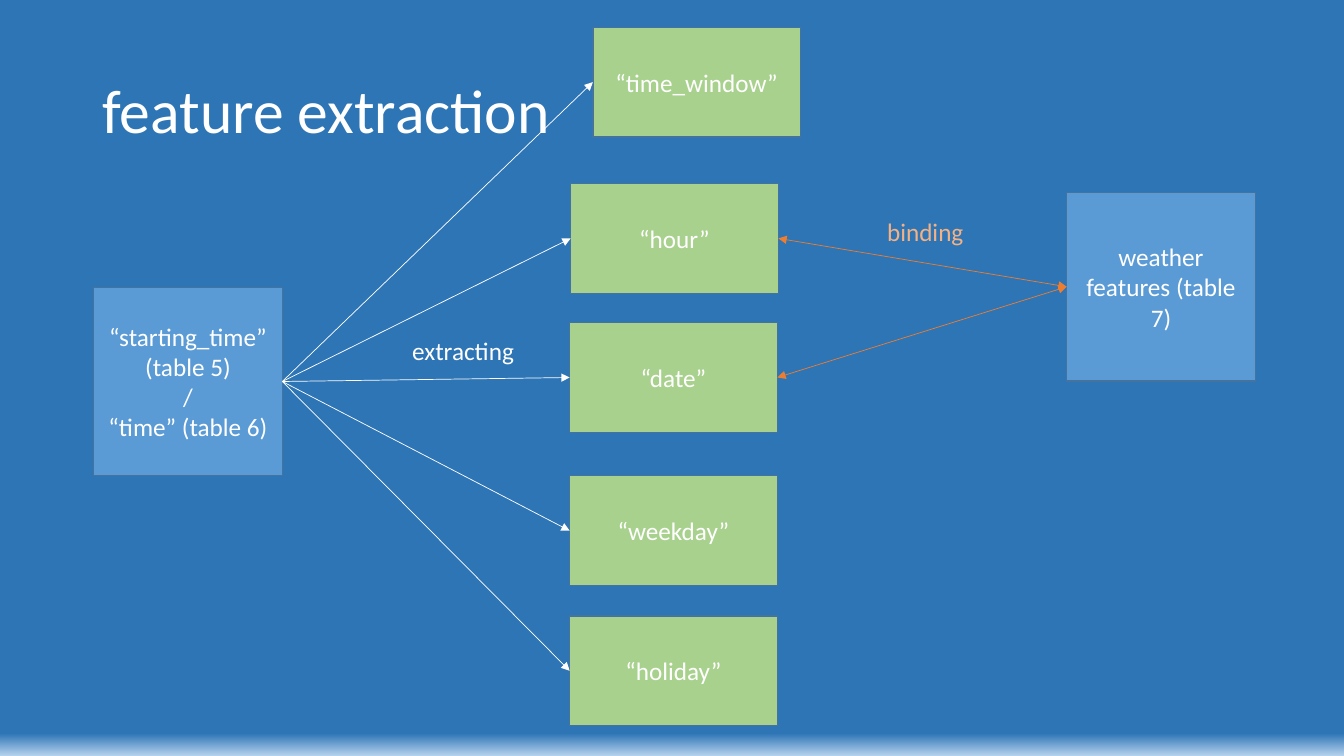
from lxml import etree
from pptx import Presentation
from pptx.dml.color import RGBColor
from pptx.enum.shapes import MSO_CONNECTOR, MSO_SHAPE
from pptx.enum.text import MSO_ANCHOR, MSO_AUTO_SIZE, PP_ALIGN
from pptx.oxml.ns import qn
from pptx.util import Inches, Pt

RECT, STRAIGHT = MSO_SHAPE.RECTANGLE, MSO_CONNECTOR.STRAIGHT
MIDDLE, TOP = MSO_ANCHOR.MIDDLE, MSO_ANCHOR.TOP
CENTER, LEFT = PP_ALIGN.CENTER, PP_ALIGN.LEFT
GROW = MSO_AUTO_SIZE.SHAPE_TO_FIT_TEXT
LEFT_SITE, RIGHT_SITE = 1, 3

COLORS = {
    "background": "2E75B6", "glow": "B5D2EC", "white": "FFFFFF",
    "table": "5B9BD5", "feature": "A9D18E", "border": "43739E",
    "binding": "ED7D31", "binding_text": "F4B183",
}
TITLE = ("feature extraction", (0.92, 0.4, 11.5, 1.45))
TABLE_SIZE, FEATURE_SIZE = (1.87, 1.87), (2.06, 1.09)

# name: (paragraphs, left, top)
TABLES = {
    "time": (["“starting_time” (table 5)", "/", "“time” (table 6)"], 0.93, 2.85),
    "weather": (["weather features (table 7)"], 10.58, 1.91),
}
FEATURES = {
    "time_window": (["“time_window”"], 5.88, 0.27),
    "hour": (["“hour”"], 5.66, 1.82),
    "date": (["“date”"], 5.65, 3.2),
    "weekday": (["“weekday”"], 5.65, 4.72),
    "holiday": (["“holiday”"], 5.65, 6.11),
}
BOUND_FEATURES = ["hour", "date"]
# text, position, color
LABELS = [
    ("binding", (8.7, 2.1, 0.96, 0.4), "binding_text"),
    ("extracting", (3.99, 3.28, 1.3, 0.4), "white"),
]


def rgb(name):
    return RGBColor.from_string(COLORS[name])


def write(tf, lines, size=18, color="white", align=LEFT, anchor=TOP, spacing=1.0):
    tf.vertical_anchor = anchor
    for i, line in enumerate(lines):
        p = tf.add_paragraph() if i else tf.paragraphs[0]
        p.alignment, p.line_spacing = align, spacing
        r = p.add_run()
        r.text = line
        font = {"name": "Calibri", "size": Pt(size)}
        for key, value in font.items():
            setattr(r.font, key, value)
        r.font.color.rgb = rgb(color)


def add_text(s, lines, place, wrap=True, **style):
    tf = s.shapes.add_textbox(*map(Inches, place)).text_frame
    tf.word_wrap = wrap
    write(tf, lines, **style)
    return tf


def add_box(s, lines, left, top, size, fill):
    sp = s.shapes.add_shape(RECT, *map(Inches, (left, top, *size)))
    sp.shadow.inherit = False
    sp.fill.solid()
    sp.fill.fore_color.rgb = rgb(fill)
    sp.line.color.rgb = rgb("border")
    sp.line.width = Pt(1)
    sp.text_frame.word_wrap = True
    write(sp.text_frame, lines, align=CENTER, anchor=MIDDLE)
    return sp


def add_arrow(s, start, end, color, ends):
    """Join the right side of start to the left side of end."""
    line = s.shapes.add_connector(STRAIGHT, 0, 0, 0, 0)
    line.begin_connect(start, RIGHT_SITE)
    line.end_connect(end, LEFT_SITE)
    line.line.color.rgb = rgb(color)
    line.line.width = Pt(0.5)
    ln = line.line._get_or_add_ln()
    for tag in ends:
        etree.SubElement(ln, qn(tag), type="triangle")
    etree.SubElement(line._element.spPr, qn("a:effectLst"))


def main():
    prs = Presentation()
    prs.slide_width, prs.slide_height = Inches(13.33), Inches(7.5)
    s = prs.slides.add_slide(prs.slide_layouts[6])

    fill = s.background.fill
    fill.gradient()
    fill.gradient_angle = 270
    stops = [(0.97, "background"), (1.0, "glow")]
    for stop, (position, color) in zip(fill.gradient_stops, stops):
        stop.position = position
        stop.color.rgb = rgb(color)

    title, place = TITLE
    add_text(s, [title], place, size=44, anchor=MIDDLE, spacing=0.9)
    tables = {name: add_box(s, *box, TABLE_SIZE, "table")
              for name, box in TABLES.items()}
    features = {name: add_box(s, *box, FEATURE_SIZE, "feature")
                for name, box in FEATURES.items()}
    for feature in features.values():
        add_arrow(s, tables["time"], feature, "white", ["a:tailEnd"])
    for name in BOUND_FEATURES:
        add_arrow(s, features[name], tables["weather"], "binding",
                  ["a:headEnd", "a:tailEnd"])
    for text, place, color in LABELS:
        add_text(s, [text], place, wrap=False, color=color).auto_size = GROW

    prs.save("out.pptx")


if __name__ == "__main__":
    main()
